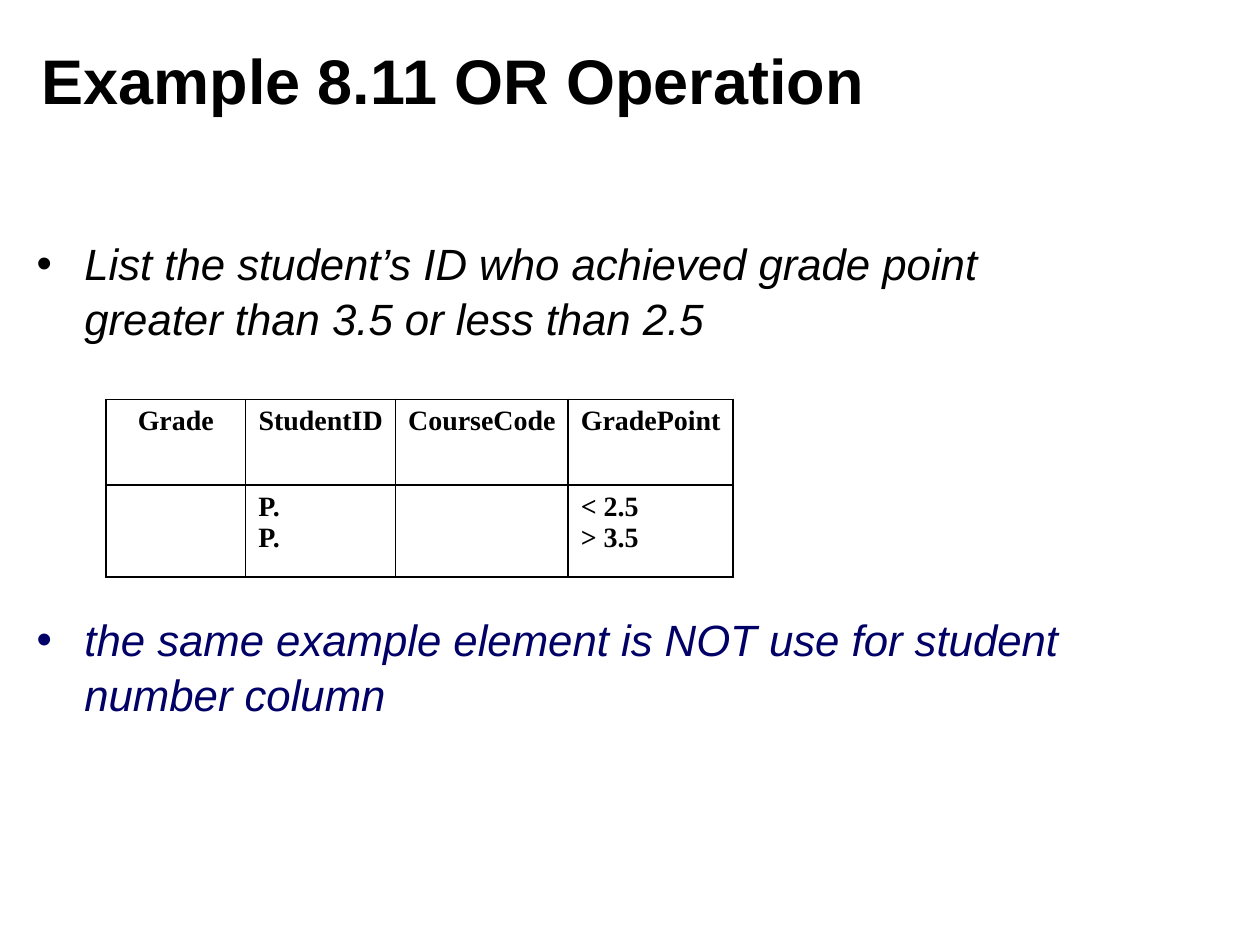
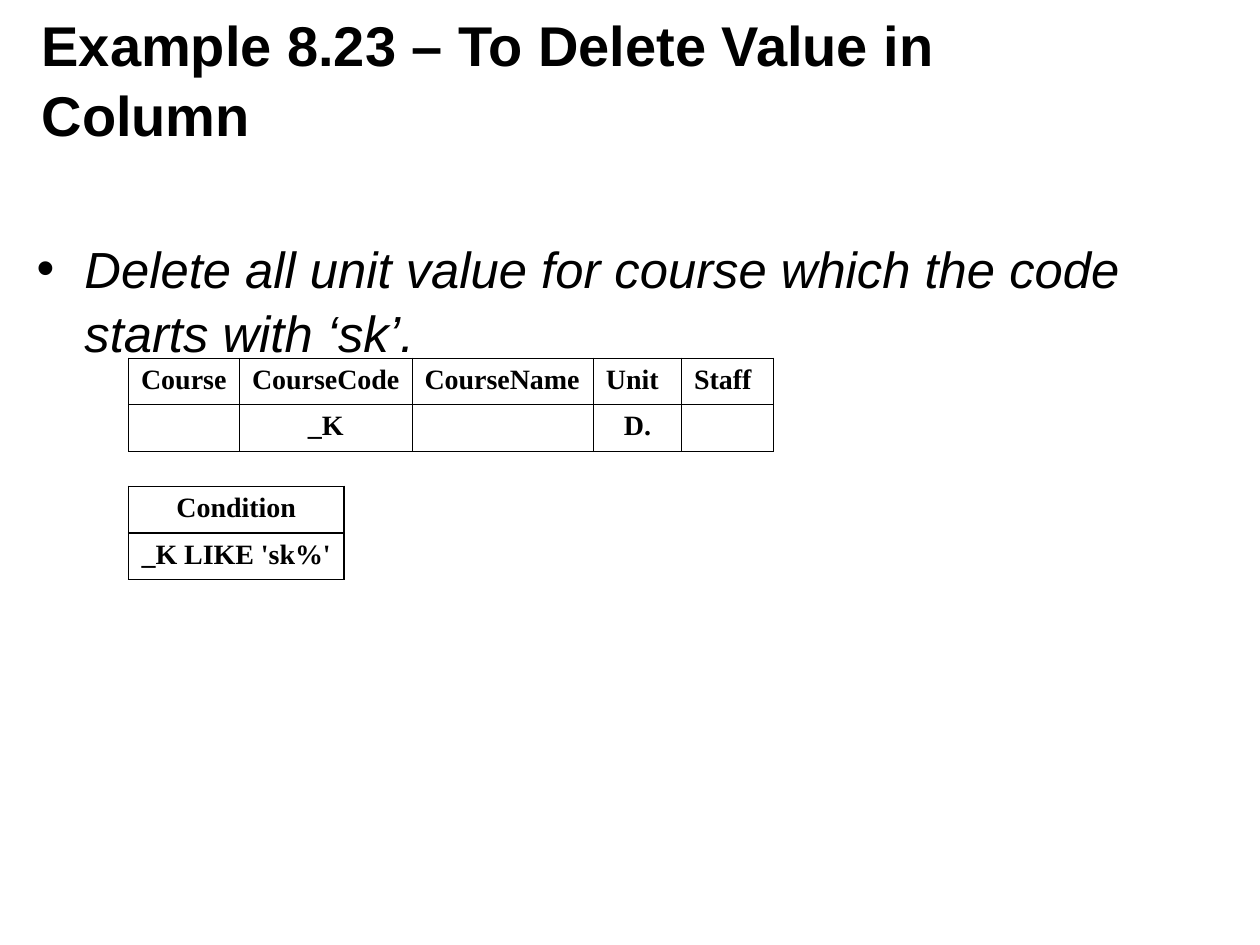
from lxml.etree import SubElement
from pptx import Presentation
from pptx.dml.color import RGBColor
from pptx.enum.text import MSO_ANCHOR, MSO_AUTO_SIZE, PP_ALIGN
from pptx.oxml.ns import qn
from pptx.util import Inches, Pt

COLORS = {"black": "000000", "navy": "000066"}
HEADING_FONT, TABLE_FONT = "Arial", "Times New Roman"
CENTER, JUSTIFY = PP_ALIGN.CENTER, PP_ALIGN.JUSTIFY

deck = Presentation()
deck.slide_width, deck.slide_height = Inches(10), Inches(7.5)
COLUMN, ROW = deck.slide_width / 100, deck.slide_height / 75

pages = [
    {
        "title": "Example 8.11 OR Operation", "title_size": 36,
        "body_width": 87.2, "body_size": 25,
        "bullets": [
            ("List the student’s ID who achieved grade point greater than 3.5 or less than 2.5", "black", 0),
            ("the same example element is NOT use for student number column", "navy", 152),
        ],
        "tables": [
            {
                "left": 8.4, "top": 31.7, "border": 0.96,
                "columns": [11.1, 11.9, 13.7, 13.1], "rows": [6.8, 7.3],
                "aligns": [CENTER, JUSTIFY],
                "cells": [["Grade", "StudentID", "CourseCode", "GradePoint"],
                          ["", "P.\nP.", "", "< 2.5\n> 3.5"]],
            },
        ],
    },
    {
        "title": "Example 8.23 – To Delete Value in Column", "title_size": 32,
        "body_width": 96.1, "body_size": 29,
        "bullets": [("Delete all unit value for course which the code starts with ‘sk’.", "black", 0)],
        "tables": [
            {
                "left": 10.2, "top": 28.4, "border": 0.45,
                "columns": [8.8, 13.7, 14.4, 7, 7.3], "rows": [3.7, 3.7],
                "aligns": [JUSTIFY, CENTER],
                "cells": [["Course", "CourseCode", "CourseName", "Unit", "Staff"],
                          ["", "_K", "", "D.", ""]],
            },
            {
                "left": 10.2, "top": 38.6, "border": 0.96,
                "columns": [17.1], "rows": [3.7, 3.7],
                "aligns": [CENTER, CENTER],
                "cells": [["Condition"], ["_K LIKE 'sk%'"]],
            },
        ],
    },
]


def place(shape, left, top, width, height):
    shape.left, shape.top = int(left * COLUMN), int(top * ROW)
    shape.width, shape.height = int(width * COLUMN), int(height * ROW)


def style(para, font, size, color, bold=False, italic=False):
    para.font.name, para.font.size = font, Pt(size)
    para.font.bold, para.font.italic = bold, italic
    para.font.color.rgb = RGBColor.from_string(COLORS[color])


for page in pages:
    slide = deck.slides.add_slide(deck.slide_layouts[1])

    title = slide.shapes.title
    place(title, 2.3, 1.5, 80.3, 9.3)
    title.text_frame.text = page["title"]
    title.text_frame.auto_size = MSO_AUTO_SIZE.NONE
    title.text_frame.vertical_anchor = MSO_ANCHOR.MIDDLE
    heading = title.text_frame.paragraphs[0]
    heading.alignment, heading.line_spacing = PP_ALIGN.LEFT, 1.04
    style(heading, HEADING_FONT, page["title_size"], "black", bold=True)

    body = slide.placeholders[1]
    place(body, 1.9, 18.1, page["body_width"], 48.2)
    body.text_frame.text = "\n".join(text for text, color, gap in page["bullets"])
    body.text_frame.auto_size = MSO_AUTO_SIZE.NONE
    for para, (text, color, gap) in zip(body.text_frame.paragraphs, page["bullets"]):
        para.line_spacing, para.space_before = 1.05, Pt(gap)
        properties = para._p.get_or_add_pPr()
        properties.set("marL", str(Inches(0.38)))
        properties.set("indent", str(Inches(-0.38)))
        SubElement(properties, qn("a:buFont"), typeface=HEADING_FONT)
        SubElement(properties, qn("a:buChar"), char="•")
        style(para, HEADING_FONT, page["body_size"], color, italic=True)

    for layout in page["tables"]:
        columns, rows = layout["columns"], layout["rows"]
        frame = slide.shapes.add_table(len(rows), len(columns), 0, 0, 1, 1)
        place(frame, layout["left"], layout["top"], sum(columns), sum(rows))
        table = frame.table
        table.first_row = table.horz_banding = False
        for column, width in zip(table.columns, columns):
            column.width = int(width * COLUMN)
        for row, height, align, texts in zip(table.rows, rows, layout["aligns"], layout["cells"]):
            row.height = int(height * ROW)
            for cell, text in zip(row.cells, texts):
                cell.text = text
                for para in cell.text_frame.paragraphs:
                    para.alignment = align
                    style(para, TABLE_FONT, 16, "black", bold=True)
                    if not text:
                        SubElement(para._p, qn("a:endParaRPr"), sz="1600")
                cell_properties = cell._tc.get_or_add_tcPr()
                for side in ("lnL", "lnR", "lnT", "lnB"):
                    line = SubElement(cell_properties, qn(f"a:{side}"), w=str(Pt(layout["border"])))
                    fill = SubElement(line, qn("a:solidFill"))
                    SubElement(fill, qn("a:srgbClr"), val=COLORS["black"])
                cell.fill.background()

deck.save("out.pptx")
